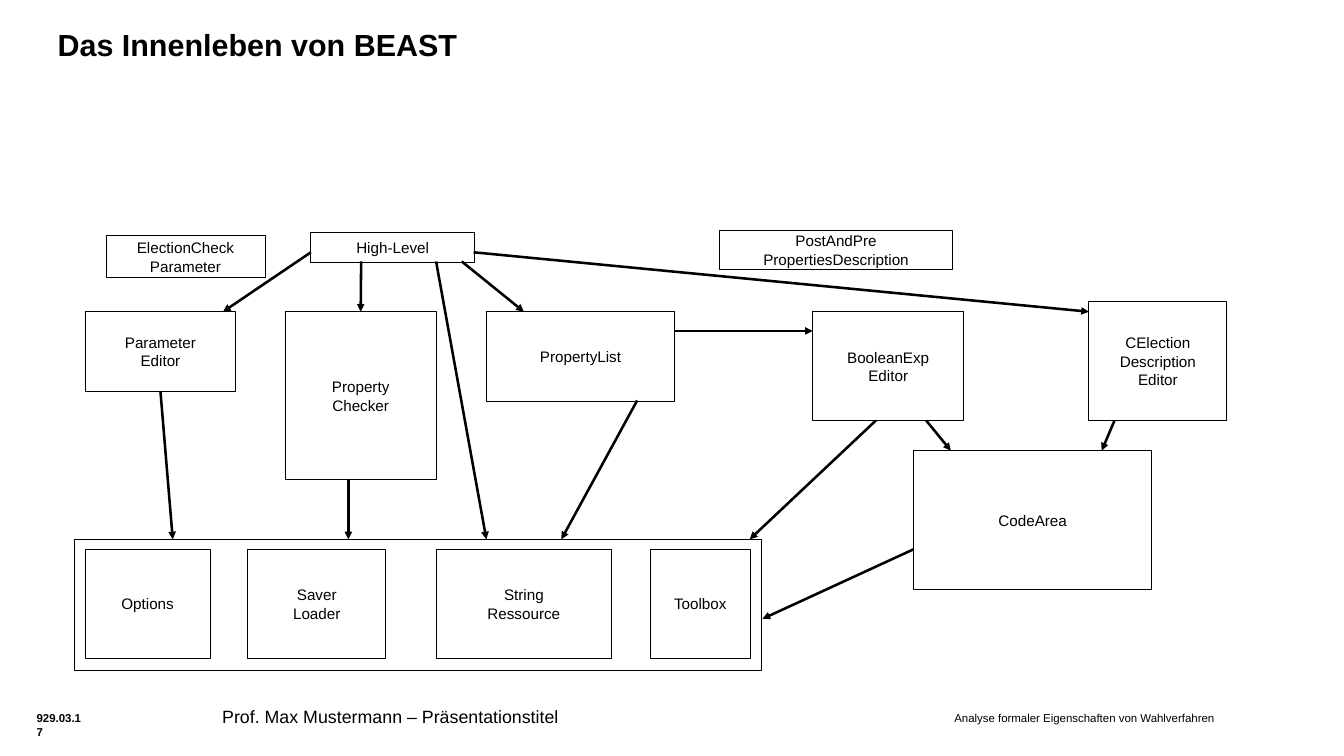
from lxml.etree import SubElement
from pptx import Presentation
from pptx.dml.color import RGBColor
from pptx.enum.shapes import MSO_CONNECTOR, MSO_SHAPE
from pptx.enum.text import MSO_ANCHOR, PP_ALIGN
from pptx.oxml.ns import qn
from pptx.util import Pt

PX = 9144
COLORS = {"ink": "000000", "paper": "FFFFFF"}
FONTS = {
    "title": {"name": "Arial", "size": Pt(24), "bold": True},
    "node": {"name": "Arial", "size": Pt(12), "bold": False},
    "name": {"name": "Arial", "size": Pt(14), "bold": False},
    "date": {"name": "Arial", "size": Pt(9), "bold": True},
    "topic": {"name": "Arial", "size": Pt(9), "bold": False},
}
FRAME = {"word_wrap": True, "vertical_anchor": MSO_ANCHOR.TOP,
         "margin_left": 0, "margin_right": 0, "margin_top": 0, "margin_bottom": 0}
INNER = {"word_wrap": True, "vertical_anchor": MSO_ANCHOR.MIDDLE,
         "margin_left": 10 * PX, "margin_right": 10 * PX,
         "margin_top": 5 * PX, "margin_bottom": 5 * PX}

MODULES = {
    "level": ("High-Level", 259, 2, 179, 33),
    "param": ("Parameter\nEditor", 12, 89, 165, 87),
    "check": ("Property\nChecker", 231, 89, 165, 184),
    "list": ("PropertyList", 451, 89, 206, 98),
    "code": ("CodeArea", 918, 241, 261, 152),
    "bool": ("BooleanExp\nEditor", 808, 89, 165, 119),
    "elect": ("CElection\nDescription\nEditor", 1110, 78, 151, 130),
    "vote": ("ElectionCheck\nParameter", 35, 6, 174, 46),
    "post": ("PostAndPre\nPropertiesDescription", 706, 0, 255, 43),
}
TOOLS = [("Options", 12, 137), ("Saver\nLoader", 190, 151),
         ("String\nRessource", 396, 192), ("Toolbox", 630, 110)]
ARROWS = [
    (259, 24, 163, 89), (314, 34, 314, 89), (424, 34, 492, 89),
    (657, 110, 808, 110), (437, 24, 1110, 89), (94, 175, 108, 338),
    (300, 273, 300, 338), (616, 186, 533, 338), (877, 208, 739, 338),
    (932, 208, 959, 241), (1138, 208, 1124, 241), (918, 349, 753, 425),
    (396, 34, 451, 338),
]
STARTS = {5: ("param", 2)}
ENDS = {1: ("check", 0)}


def color(key):
    return RGBColor.from_string(COLORS[key])


def scale(*nums):
    return [n * PX for n in nums]


def apply(item, values):
    for key, value in values.items():
        setattr(item, key, value)


def write(shape, text, style, frame, align):
    body = shape.text_frame
    body.text = text
    apply(body, frame)
    for para in body.paragraphs:
        para.alignment = align
        apply(para.font, FONTS[style])
        para.font.color.rgb = color("ink")


def label(slide, box, text, style, align=PP_ALIGN.LEFT):
    shape = slide.shapes.add_textbox(*scale(*box))
    write(shape, text, style, FRAME, align)


def outline(item):
    item.line.color.rgb = color("ink")
    item.line.width = 0


def rect(slide, box):
    shape = slide.shapes.add_shape(MSO_SHAPE.RECTANGLE, *scale(*box))
    shape.shadow.inherit = False
    outline(shape)
    return shape


def node(slide, box, text):
    shape = rect(slide, box)
    shape.fill.solid()
    shape.fill.fore_color.rgb = color("paper")
    write(shape, text, "node", INNER, PP_ALIGN.CENTER)
    return shape


def arrow(slide, ends, start=None, stop=None):
    link = slide.shapes.add_connector(MSO_CONNECTOR.STRAIGHT, *scale(*ends))
    if start:
        link.begin_connect(*start)
    if stop:
        link.end_connect(*stop)
    outline(link)
    SubElement(link.line._get_or_add_ln(), qn("a:tailEnd"), type="triangle")
    SubElement(link._element.spPr, qn("a:effectLst"))


def modules(slide, box):
    x, y, _, _ = box
    return {key: node(slide, (x + dx, y + dy, w, h), text)
            for key, (text, dx, dy, w, h) in MODULES.items()}


def tools(slide, box):
    x, y, _, h = box
    rect(slide, box).fill.background()
    for text, dx, w in TOOLS:
        node(slide, (x + dx, y + 11, w, h - 25), text)


def arrows(slide, box, nodes):
    x, y, _, _ = box

    def joint(joins, i):
        if i in joins:
            key, side = joins[i]
            return nodes[key], side

    for i, (x1, y1, x2, y2) in enumerate(ARROWS):
        arrow(slide, (x + x1, y + y1, x + x2, y + y2),
              joint(STARTS, i), joint(ENDS, i))


def diagram(slide, box):
    x, y, _, h = box
    nodes = modules(slide, box)
    tools(slide, (x, y + h - 144, 752, 144))
    arrows(slide, box, nodes)


def footer(slide, box):
    x, y, w, h = box
    label(slide, (x, y + 6, 52, 26), "929.03.17", "date")
    label(slide, (x + 203, y, 671, h),
          "Prof. Max Mustermann – Präsentationstitel", "name")
    label(slide, (x + w - 440, y + 6, 440, h),
          "Analyse formaler Eigenschaften von Wahlverfahren", "topic",
          PP_ALIGN.CENTER)


def main():
    deck = Presentation()
    deck.slide_width, deck.slide_height = scale(1470, 827)
    slide = deck.slides.add_slide(deck.slide_layouts[6])
    label(slide, (63, 28, 1111, 68), "Das Innenleben von BEAST", "title")
    diagram(slide, (81, 252, 1261, 482))
    footer(slide, (40, 772, 1366, 43))
    deck.save("out.pptx")


if __name__ == "__main__":
    main()
